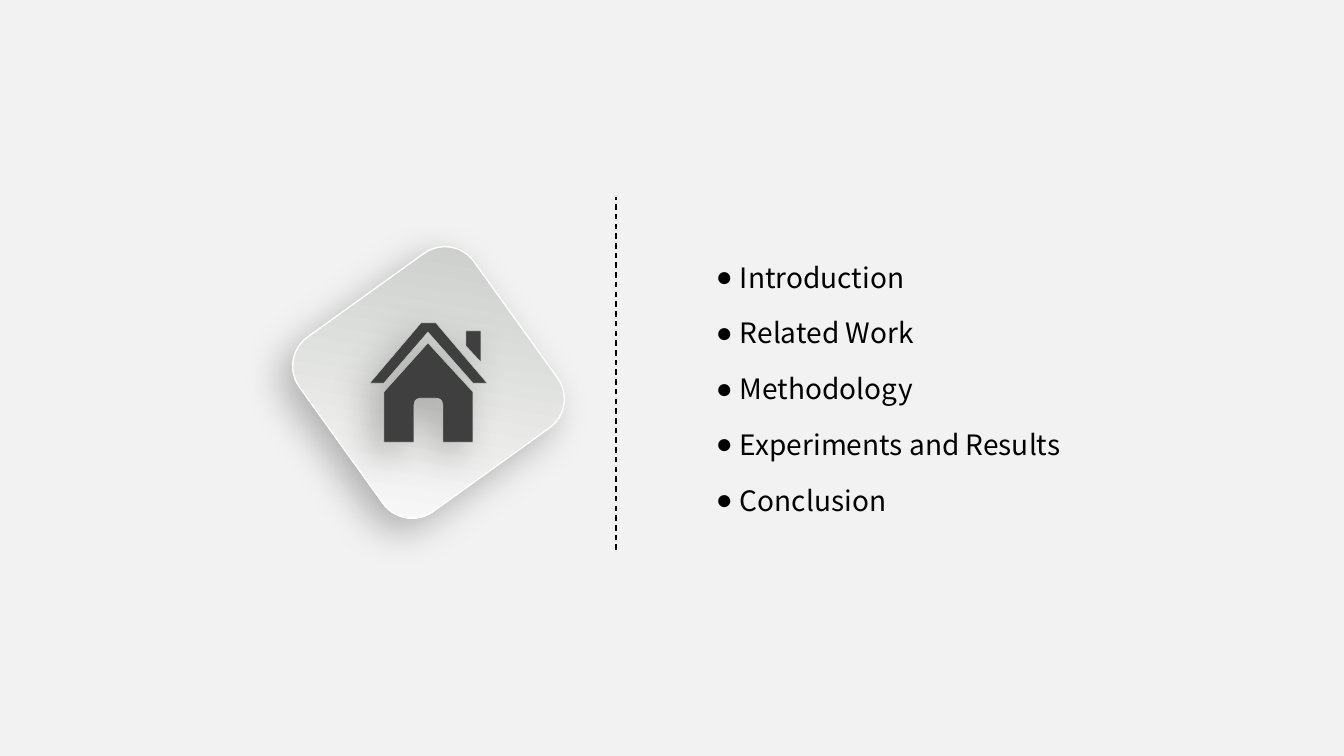
from lxml import etree
from pptx import Presentation
from pptx.dml.color import RGBColor
from pptx.enum.dml import MSO_LINE
from pptx.enum.shapes import MSO_CONNECTOR, MSO_SHAPE
from pptx.enum.text import MSO_ANCHOR
from pptx.oxml.ns import qn
from pptx.util import Pt

PX = 914400 / 100.8
ROUNDED = MSO_SHAPE.ROUNDED_RECTANGLE
STRAIGHT = MSO_CONNECTOR.STRAIGHT
DASH = MSO_LINE.DASH
MIDDLE = MSO_ANCHOR.MIDDLE

PAPER = RGBColor(0xF2, 0xF2, 0xF2)
TILE_DARK = RGBColor(0xC9, 0xCB, 0xC8)
TILE_LIGHT = RGBColor(0xFC, 0xFC, 0xFC)
EDGE = RGBColor(0xFF, 0xFF, 0xFF)
HOUSE_EDGE = RGBColor(0xCF, 0xD4, 0xD0)
HOUSE = RGBColor(0x3F, 0x3F, 0x3F)
BLACK = RGBColor(0, 0, 0)

FONT = "Noto Sans CJK SC"
TOPICS = ["Introduction", "Related Work", "Methodology",
          "Experiments and Results", "Conclusion"]

# House outlines in px, measured from the icon's top left corner
HOUSE_BODY = [(58, 20), (103, 69), (103, 119), (73, 119), (73, 82),
              (72, 78), (70, 76), (66, 75), (51, 75), (47, 76),
              (45, 78), (44, 82), (44, 119), (14, 119), (14, 69)]
HOUSE_CHIMNEY = [(96, 8), (111, 8), (111, 39), (96, 23)]
HOUSE_ROOF = [(51, 0), (66, 0), (117, 60), (103, 60), (58, 9),
              (14, 60), (0, 60)]


def px(length):
    return round(length * PX)


def add_soft_shadow(shape):
    shape.shadow.inherit = False
    effects = shape._element.spPr.find(qn("a:effectLst"))
    shadow = etree.SubElement(
        effects, qn("a:outerShdw"), blurRad=str(Pt(27)), dist=str(Pt(12)),
        dir=str(135 * 60000), algn="tr", rotWithShape="0")
    colour = etree.SubElement(shadow, qn("a:srgbClr"), val=str(BLACK))
    etree.SubElement(colour, qn("a:alpha"), val="26000")


def add_home_tile(page, left, top, side):
    # Tilted tile
    tile = page.shapes.add_shape(ROUNDED, px(left), px(top), px(side), px(side))
    tile.rotation = 324.3
    tile.fill.gradient()
    tile.fill.gradient_angle = 225
    for stop, colour in zip(tile.fill.gradient_stops, (TILE_DARK, TILE_LIGHT)):
        stop.color.rgb = colour
    tile.line.color.rgb = EDGE
    tile.line.width = Pt(1)
    add_soft_shadow(tile)

    # House icon
    builder = page.shapes.build_freeform(*HOUSE_BODY[0], scale=PX)
    builder.add_line_segments(HOUSE_BODY[1:], close=True)
    for outline in (HOUSE_CHIMNEY, HOUSE_ROOF):
        builder.move_to(*outline[0])
        builder.add_line_segments(outline[1:], close=True)
    house = builder.convert_to_shape(px(left + 49), px(top + 48))
    house.fill.solid()
    house.fill.fore_color.rgb = HOUSE
    house.line.color.rgb = HOUSE_EDGE
    house.line.width = Pt(0.25)
    add_soft_shadow(house)


def add_divider(page, left, top, height):
    divider = page.shapes.add_connector(
        STRAIGHT, px(left), px(top + height), px(left), px(top))
    divider.line.color.rgb = BLACK
    divider.line.width = Pt(1)
    divider.line.dash_style = DASH
    etree.SubElement(divider._element.spPr, qn("a:effectLst"))


def add_topics(page, left, top, width, height):
    row_height = 34
    pitch = (height - row_height) / (len(TOPICS) - 1)
    for row, topic in enumerate(TOPICS):
        box = page.shapes.add_textbox(
            px(left), px(top + row * pitch), px(width), px(row_height))
        frame = box.text_frame
        frame.word_wrap = True
        frame.vertical_anchor = MIDDLE
        frame.margin_left = frame.margin_right = 0
        frame.margin_top = frame.margin_bottom = 0
        frame.text = topic
        para = frame.paragraphs[0]
        properties = para._p.get_or_add_pPr()
        properties.set("marL", str(px(24)))
        properties.set("indent", str(px(-24)))
        etree.SubElement(properties, qn("a:buFont"), typeface="Arial")
        etree.SubElement(properties, qn("a:buChar"), char="●")
        span = para.runs[0]
        span.font.name = FONT
        span.font.size = Pt(20)
        span.font.color.rgb = BLACK


def main():
    deck = Presentation()
    deck.slide_width, deck.slide_height = px(1344), px(756)
    page = deck.slides.add_slide(deck.slide_layouts[6])
    page.background.fill.solid()
    page.background.fill.fore_color.rgb = PAPER

    add_home_tile(page, 321, 275, 215)
    add_divider(page, 616, 197, 353)
    add_topics(page, 716, 260, 355, 257)
    deck.save("out.pptx")


if __name__ == "__main__":
    main()
